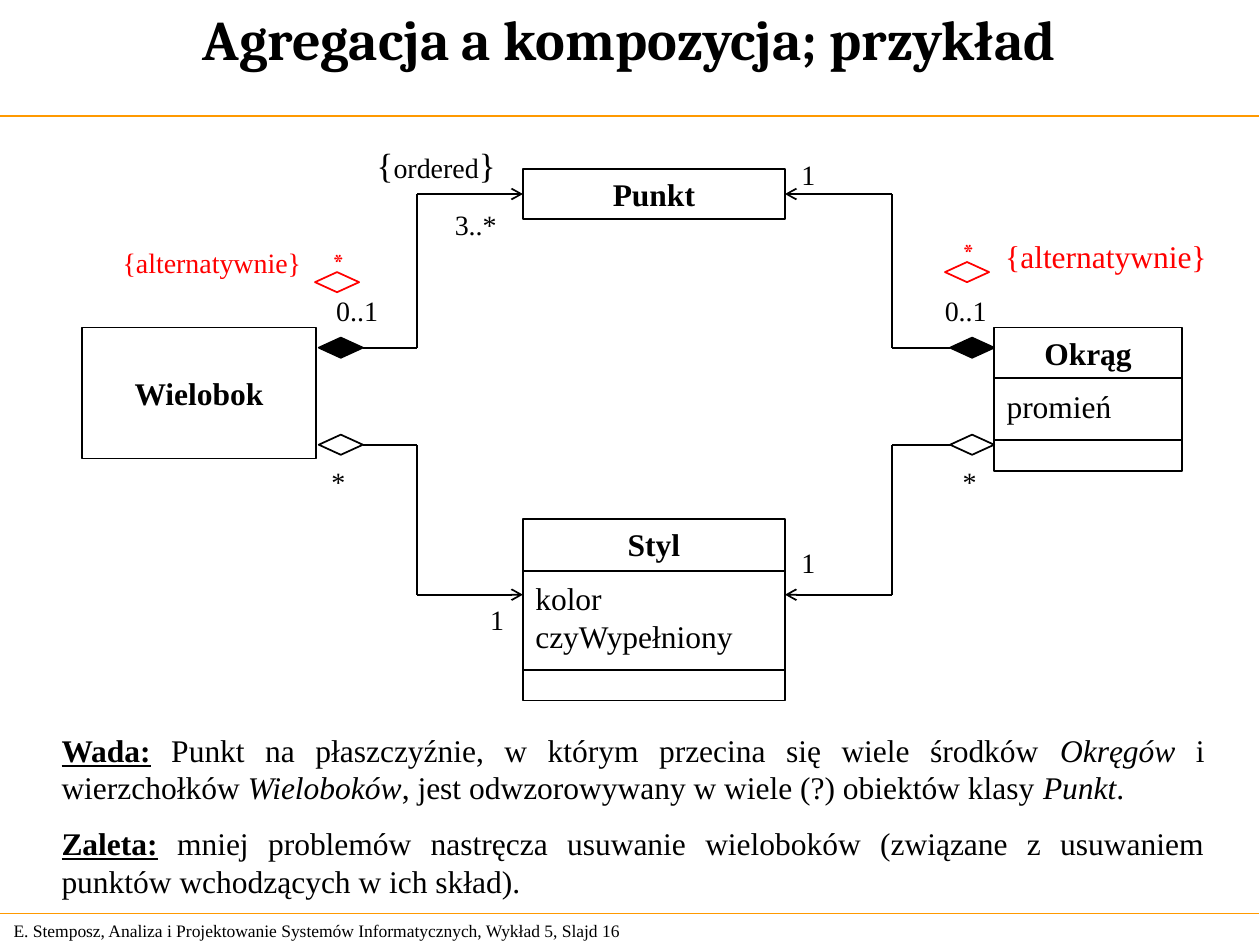
from lxml import etree
from pptx import Presentation, util as u
from pptx.dml.color import RGBColor
from pptx.enum import shapes, text
from pptx.oxml.ns import qn

BLACK, WHITE, RED, ORANGE = "000000", "FFFFFF", "FF0000", "FF9900"
LEFT, CENTER, RIGHT, JUSTIFY = (text.PP_ALIGN.LEFT, text.PP_ALIGN.CENTER,
                                text.PP_ALIGN.RIGHT, text.PP_ALIGN.JUSTIFY)
TOP, MIDDLE = text.MSO_ANCHOR.TOP, text.MSO_ANCHOR.MIDDLE


def color(hex_code):
    return RGBColor.from_string(hex_code)


class Diagram:
    """Holds the style and the current page."""
    font = "Times New Roman"
    title_font = "Cambria"
    diamond_size = (0.35, 0.16)

    def __init__(self, page):
        self.page = page

    def place(self, *lengths):
        return [u.Inches(length) for length in lengths]

    def style(self, para, size, align=LEFT, bold=False, ink=BLACK, font=None):
        para.alignment = align
        para.font.name = font or self.font
        para.font.size = u.Pt(size)
        para.font.bold = bold
        para.font.color.rgb = color(ink)

    def label(self, at, words, size=16, align=LEFT, anchor=TOP, wrap=False,
              inset=True, **look):
        box = self.page.shapes.add_textbox(*self.place(*at))
        frame = box.text_frame
        frame.word_wrap = wrap
        frame.auto_size = text.MSO_AUTO_SIZE.SHAPE_TO_FIT_TEXT
        frame.vertical_anchor = anchor
        if not inset:
            frame.margin_left = frame.margin_right = 0
            frame.margin_top = frame.margin_bottom = 0
        para = frame.paragraphs[0]
        para.text = words
        self.style(para, size, align, **look)
        return frame

    def prose(self, at, paragraphs, size=18, gap=10):
        """Each paragraph is a list of (words, marks), marks from b, i, u."""
        frame = self.label(at, "", wrap=True)
        for index, spans in enumerate(paragraphs):
            para = frame.add_paragraph() if index else frame.paragraphs[0]
            self.style(para, size, JUSTIFY)
            if index:
                para.space_before = u.Pt(gap)
            for words, marks in spans:
                span = para.add_run()
                span.text = words
                if "b" in marks:
                    span.font.bold = True
                if "i" in marks:
                    span.font.italic = True
                if "u" in marks:
                    span.font.underline = True

    def outline(self, kind, at, ink=BLACK, fill=None):
        shape = self.page.shapes.add_shape(kind, *self.place(*at))
        shape.shadow.inherit = False
        shape.line.color.rgb = color(ink)
        shape.line.width = u.Pt(1)
        if fill:
            shape.fill.solid()
            shape.fill.fore_color.rgb = color(fill)
        else:
            shape.fill.background()
        return shape

    def uml_class(self, at, name, attributes=(), dividers=(), anchor=TOP):
        box = self.outline(shapes.MSO_SHAPE.RECTANGLE, at)
        frame = box.text_frame
        frame.word_wrap = True
        frame.vertical_anchor = anchor
        para = frame.paragraphs[0]
        para.text = name
        self.style(para, 18, CENTER, bold=True)
        for index, attribute in enumerate(attributes):
            para = frame.add_paragraph()
            para.text = attribute
            self.style(para, 18)
            if index == 0:
                para.space_before = u.Pt(9)
        for y in dividers:
            self.line((at[0], y), (at[0] + at[2], y))
        return box

    def diamond(self, left, top, ink=BLACK, fill=None):
        return self.outline(shapes.MSO_SHAPE.DIAMOND,
                            (left, top, *self.diamond_size), ink, fill)

    def line(self, start, end, ink=BLACK, width=1, arrow=False):
        link = self.page.shapes.add_connector(
            shapes.MSO_CONNECTOR.STRAIGHT, *self.place(*start, *end))
        link.line.color.rgb = color(ink)
        link.line.width = u.Pt(width)
        if arrow:
            etree.SubElement(link.line._get_or_add_ln(), qn("a:tailEnd"), type="arrow")
        etree.SubElement(link._element.spPr, qn("a:effectLst"))
        return link

    def route(self, diamond, side, start, bend_x, end, target=None):
        """Right-angled path from a diamond to an arrow at a class."""
        corners = (bend_x, start[1]), (bend_x, end[1])
        self.line(start, corners[0]).begin_connect(diamond, side)
        self.line(*corners)
        last = self.line(corners[1], end, arrow=True)
        if target is not None:
            last.end_connect(target, 4 - side)


def main():
    deck = Presentation()
    deck.slide_width, deck.slide_height = u.Inches(10), u.Inches(7.5)
    page = deck.slides.add_slide(deck.slide_layouts[6])
    art = Diagram(page)

    # Title, rules and footer
    for y in (0.92, 7.25):
        art.line((-0.01, y), (9.99, y), ORANGE, 0.75)
    art.label((0.01, 7.25, 5.24, 0.27),
              "E. Stemposz, Analiza i Projektowanie Systemów Informatycznych, "
              "Wykład 5, Slajd 16", 10, anchor=MIDDLE, wrap=True)
    art.label((0, -0.01, 9.99, 0.92), "Agregacja a kompozycja; przykład", 32, CENTER,
              wrap=True, bold=True, font=art.title_font)

    # Classes
    art.uml_class((0.65, 2.6, 1.86, 1.04), "Wielobok", anchor=MIDDLE)
    point = art.uml_class((4.15, 1.34, 2.08, 0.4), "Punkt")
    art.uml_class((4.15, 4.12, 2.08, 1.44), "Styl", ("kolor", "czyWypełniony"),
                  (4.53, 5.32))
    art.uml_class((7.89, 2.6, 1.49, 1.14), "Okrąg", ("promień",), (3, 3.49))

    # Compositions (filled) to Punkt and aggregations (hollow) to Styl
    for left, tip, side, bend_x, end_x in ((2.53, 2.88, 3, 3.31, 4.15),
                                           (7.54, 7.54, 1, 7.08, 6.23)):
        filled = art.diamond(left, 2.68, fill=BLACK)
        art.route(filled, side, (tip, 2.76), bend_x, (end_x, 1.54), point)
        hollow = art.diamond(left, 3.45, fill=WHITE)
        art.route(hollow, side, (tip, 3.53), bend_x, (end_x, 4.72))

    # Multiplicities
    ordered = art.label((2.99, 1.14, 1, 0.33), "", inset=False).paragraphs[0]
    for words, size in (("{", 20), ("ordered", 16), ("}", 20)):
        span = ordered.add_run()
        span.text = words
        span.font.size = u.Pt(size)
    art.label((3.61, 1.65, 0.4, 0.27), "3..*", inset=False)
    for x in (2.63, 7.64):
        art.label((x, 3.69, 0.12, 0.27), "*", inset=False)
    for x in (2.57, 7.4):
        art.label((x, 2.28, 0.55, 0.37), "0..1")
    for x, y in ((6.26, 1.2), (6.26, 4.28), (3.79, 4.73)):
        art.label((x, y, 0.31, 0.37), "1", align=CENTER, anchor=MIDDLE)

    # Alternative aggregations in red
    for x, y in ((2.5, 2.16), (7.5, 2.08)):
        art.diamond(x, y, RED)
        art.label((x + 0.03, y - 0.26, 0.31, 0.37), "*", align=CENTER,
                  anchor=MIDDLE, ink=RED, font=art.title_font)
    for at, size, align in (((0.87, 1.9, 1.62, 0.37), 16, RIGHT),
                            ((7.88, 1.83, 1.8, 0.4), 18, LEFT)):
        art.label(at, "{alternatywnie}", size, align, MIDDLE, ink=RED)

    # Conclusions
    art.prose((0.39, 5.75, 9.27, 1.44), [
        [("Wada:", "bu"), (" Punkt na płaszczyźnie, w którym przecina się wiele środków ", ""),
         ("Okręgów", "i"), (" i wierzchołków ", ""), ("Wieloboków", "i"),
         (", jest odwzorowywany w wiele (?) obiektów klasy ", ""),
         ("Punkt", "i"), (".", "")],
        [("Zaleta:", "bu"), (" mniej problemów nastręcza usuwanie wieloboków (związane z "
                             "usuwaniem punktów wchodzących w ich skład).", "")],
    ])

    deck.save("out.pptx")


if __name__ == "__main__":
    main()
